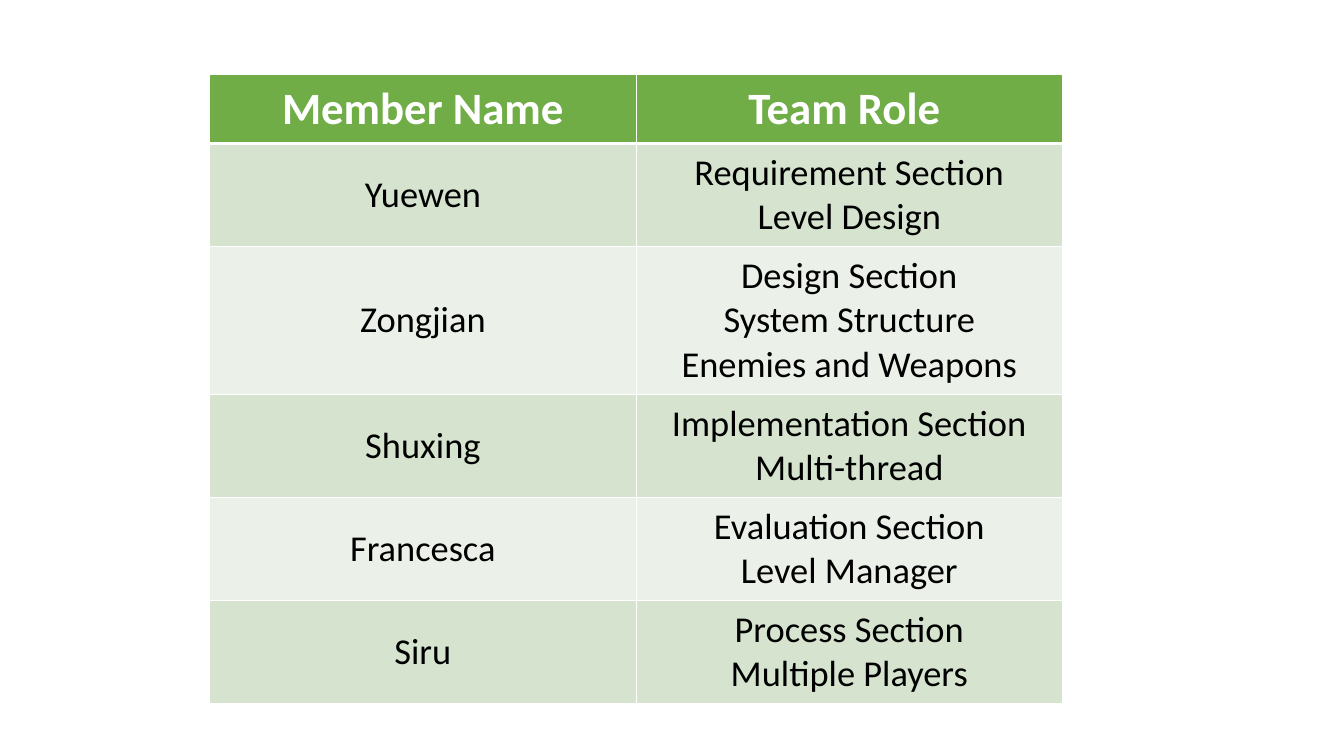
import pptx
import pptx.dml.color
import pptx.enum.text
import pptx.oxml.ns
import pptx.table
import pptx.util
from dataclasses import dataclass
from lxml import etree

Inches = pptx.util.Inches
Pt = pptx.util.Pt
RGBColor = pptx.dml.color.RGBColor
qn = pptx.oxml.ns.qn


@dataclass(frozen=True)
class Theme:
    """Colours, font and type sizes of the slide."""
    font: str = "Calibri"
    header_fill: str = "70AD47"
    bands: tuple[str, str] = ("D5E3CF", "EBF1E9")
    border: str = "FFFFFF"
    header_text: str = "FFFFFF"
    body_text: str = "000000"
    header_size: int = 32
    body_size: int = 26


@dataclass(frozen=True)
class Member:
    """A team member and the roles listed beside the name."""
    name: str
    roles: tuple[str, ...]


@dataclass(frozen=True)
class CellStyle:
    """Look of one table cell; border widths are in points."""
    fill: str
    color: str
    size: int
    bold: bool = False
    top: float = 1
    bottom: float = 1


THEME = Theme()
HEADERS = ("Member Name", "Team Role ")
MEMBERS = (
    Member("Yuewen", ("Requirement Section", "Level Design")),
    Member("Zongjian", ("Design Section", "System Structure", "Enemies and Weapons")),
    Member("Shuxing", ("Implementation Section", "Multi-thread")),
    Member("Francesca", ("Evaluation Section", "Level Manager")),
    Member("Siru", ("Process Section", "Multiple Players")),
)
LEFT, TOP, COL_WIDTH = 2.08, 0.74, 4.23
HEADER_HEIGHT, HEADER_RULE = 0.67, 3
ROW_HEIGHTS = {2: 1.02, 3: 1.46}  # by number of roles


def set_borders(cell: pptx.table._Cell, style: CellStyle) -> None:
    """Draw the four borders of a cell."""
    tc_pr = cell._tc.get_or_add_tcPr()
    widths = {"a:lnL": 1, "a:lnR": 1, "a:lnT": style.top, "a:lnB": style.bottom}
    for i, (tag, width) in enumerate(widths.items()):
        ln = etree.Element(qn(tag), w=str(int(Pt(width))))
        fill = etree.SubElement(ln, qn("a:solidFill"))
        etree.SubElement(fill, qn("a:srgbClr"), val=THEME.border)
        tc_pr.insert(i, ln)


def fill_cell(cell: pptx.table._Cell, lines: tuple[str, ...], style: CellStyle) -> None:
    """Write centred lines into a cell and style it."""
    cell.fill.solid()
    cell.fill.fore_color.rgb = RGBColor.from_string(style.fill)
    cell.vertical_anchor = pptx.enum.text.MSO_ANCHOR.MIDDLE
    cell.margin_left = cell.margin_right = Inches(0.14)
    cell.margin_top = cell.margin_bottom = Inches(0.07)
    tf = cell.text_frame
    for i, line in enumerate(lines):
        p = tf.add_paragraph() if i else tf.paragraphs[0]
        p.alignment = pptx.enum.text.PP_ALIGN.CENTER
        r = p.add_run()
        r.text = line
        r.font.name = THEME.font
        r.font.size = Pt(style.size)
        r.font.bold = style.bold
        r.font.color.rgb = RGBColor.from_string(style.color)
    set_borders(cell, style)


def main() -> None:
    """Build the slide with the team table and save it."""
    prs = pptx.Presentation()
    prs.slide_width, prs.slide_height = Inches(13.33), Inches(7.5)
    slide = prs.slides.add_slide(prs.slide_layouts[6])

    heights = [HEADER_HEIGHT] + [ROW_HEIGHTS[len(m.roles)] for m in MEMBERS]
    table = slide.shapes.add_table(
        len(heights), len(HEADERS), Inches(LEFT), Inches(TOP),
        Inches(COL_WIDTH * len(HEADERS)), Inches(sum(heights))).table
    for col in table.columns:
        col.width = Inches(COL_WIDTH)
    for row, height in zip(table.rows, heights):
        row.height = Inches(height)

    header = CellStyle(THEME.header_fill, THEME.header_text, THEME.header_size,
                       bold=True, bottom=HEADER_RULE)
    for j, title in enumerate(HEADERS):
        fill_cell(table.cell(0, j), (title,), header)
    for i, member in enumerate(MEMBERS):
        style = CellStyle(THEME.bands[i % 2], THEME.body_text, THEME.body_size,
                          top=1 if i else HEADER_RULE)
        for j, lines in enumerate(((member.name,), member.roles)):
            fill_cell(table.cell(i + 1, j), lines, style)

    prs.save("out.pptx")


main()
